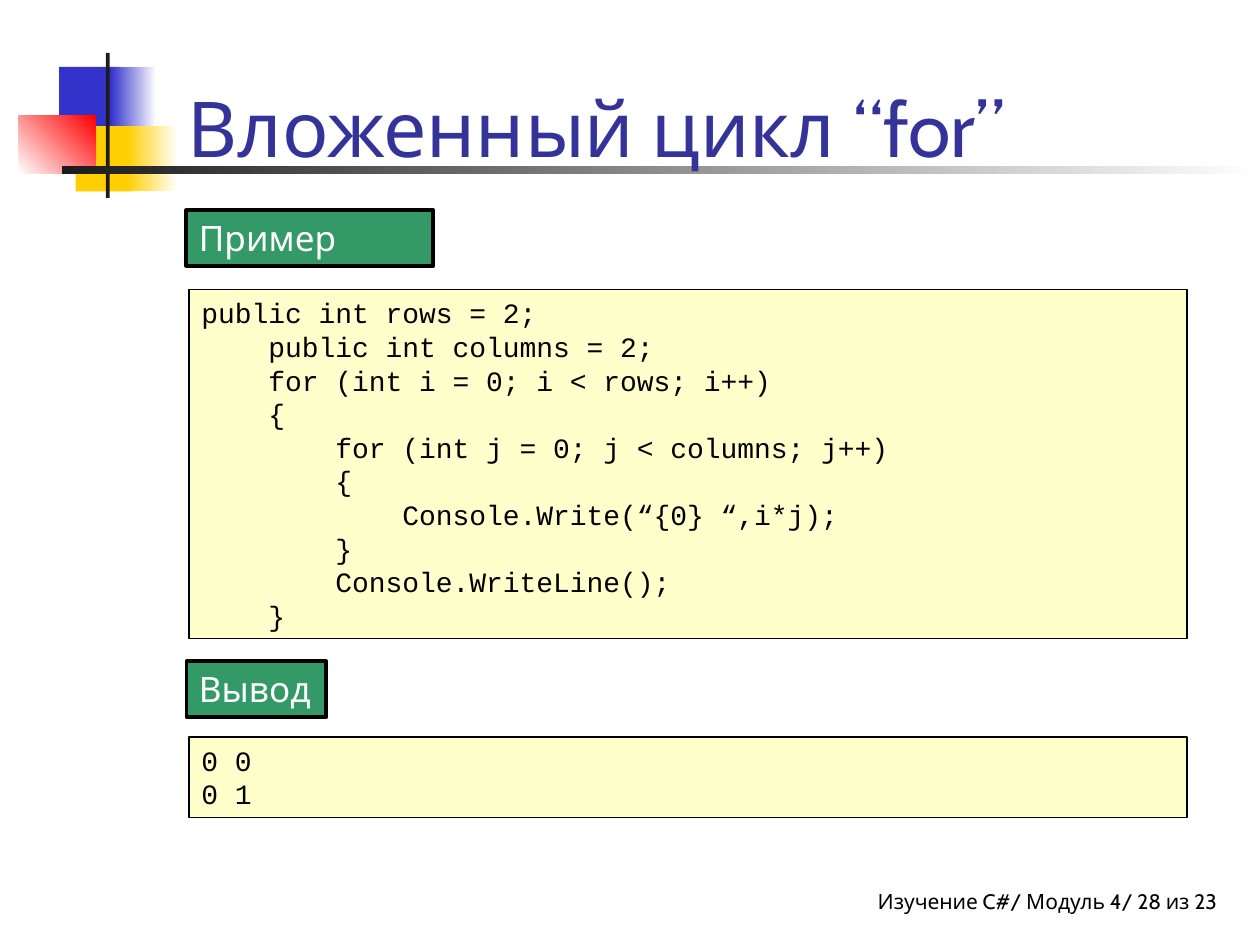
import pptx
import pptx.util
from pptx.dml.color import RGBColor
from pptx.enum.shapes import MSO_SHAPE
from pptx.enum.text import MSO_ANCHOR, PP_ALIGN

# Slide grid: 100 columns by 75 rows of square cells
COLUMNS, ROWS = 100, 75
WIDTH, HEIGHT = pptx.util.Inches(10), pptx.util.Inches(7.5)

BLACK = RGBColor(0x00, 0x00, 0x00)
WHITE = RGBColor(0xFF, 0xFF, 0xFF)
CHARCOAL = RGBColor(0x1C, 0x1C, 0x1C)
BLUE = RGBColor(0x33, 0x33, 0xCC)
YELLOW = RGBColor(0xFF, 0xCF, 0x01)
RED = RGBColor(0xFF, 0x00, 0x00)
INDIGO = RGBColor(0x33, 0x33, 0x99)
GREEN = RGBColor(0x33, 0x99, 0x66)
CREAM = RGBColor(0xFF, 0xFF, 0xCC)

TEXT_FONT, CODE_FONT = "Cabin", "Courier New"

EXAMPLE_CODE = """public int rows = 2;
    public int columns = 2;
    for (int i = 0; i < rows; i++)
    {
        for (int j = 0; j < columns; j++)
        {
            Console.Write(“{0} “,i*j);
        }
        Console.WriteLine();
    }"""
OUTPUT = "0 0\n0 1"


def on_grid(left, top, width, height):
    """Turn columns and rows into slide lengths."""
    across, down = WIDTH / COLUMNS, HEIGHT / ROWS
    return [round(n) for n in (left * across, top * down,
                               width * across, height * down)]


def write(shape, text, size, color, font=TEXT_FONT, align=PP_ALIGN.LEFT,
          anchor=MSO_ANCHOR.TOP):
    frame = shape.text_frame
    frame.word_wrap = True
    frame.vertical_anchor = anchor
    frame.text = text
    for paragraph in frame.paragraphs:
        paragraph.alignment = align
        paragraph.font.name = font
        paragraph.font.size = pptx.util.Pt(size)
        paragraph.font.color.rgb = color
    return frame


def add_text(slide, place, text, **style):
    return write(slide.shapes.add_textbox(*on_grid(*place)), text, **style)


def add_block(slide, place, fill, fade_to=None, angle=0, border=None):
    """Rectangle with a plain fill, or one fading along an angle."""
    block = slide.shapes.add_shape(MSO_SHAPE.RECTANGLE, *on_grid(*place))
    block.shadow.inherit = False
    if fade_to is None:
        block.fill.solid()
        block.fill.fore_color.rgb = fill
    else:
        block.fill.gradient()
        block.fill.gradient_angle = angle
        for stop, color in zip(block.fill.gradient_stops, (fill, fade_to)):
            stop.color.rgb = color
    if border is None:
        block.line.fill.background()
    else:
        block.line.color.rgb = BLACK
        block.line.width = pptx.util.Pt(border)
    return block


def add_label(slide, top, width, text):
    label = add_block(slide, (14.8, top, width, 4.4), GREEN, border=2.25)
    write(label, text, size=20, color=WHITE)


def add_listing(slide, top, height, code):
    listing = add_block(slide, (15, top, 79.2, height), CREAM, border=0.75)
    write(listing, code, size=16, color=BLACK, font=CODE_FONT)


def add_ornament(slide):
    # Blue and yellow squares, each fading out to the right
    add_block(slide, (4.7, 5.3, 4.8, 5.2), BLUE)
    add_block(slide, (8.8, 5.3, 3.6, 5.2), BLUE, fade_to=WHITE)
    add_block(slide, (6, 10, 4.6, 5.2), YELLOW)
    add_block(slide, (10.1, 10, 4, 5.2), YELLOW, fade_to=WHITE)
    # Red square, then the crossing bars
    add_block(slide, (1.5, 9.2, 6.1, 4.6), WHITE, fade_to=RED, angle=45)
    add_block(slide, (8.4, 4.2, 0.3, 11.5), CHARCOAL)
    add_block(slide, (4.9, 13.2, 95.1, 0.6), CHARCOAL, fade_to=WHITE)


def main():
    deck = pptx.Presentation()
    deck.slide_width, deck.slide_height = WIDTH, HEIGHT
    slide = deck.slides.add_slide(deck.slide_layouts[6])

    # Footer
    footer = add_text(slide, (45.8, 70, 50.8, 3.3),
                      "Изучение C#/ Модуль 4/ 28 из 23",
                      size=12, color=BLACK, align=PP_ALIGN.RIGHT)
    footer.margin_right = 0

    # Heading
    add_ornament(slide)
    add_text(slide, (13.9, 1.7, 85.2, 12.5), "Вложенный цикл “for”",
             size=44, color=INDIGO, anchor=MSO_ANCHOR.BOTTOM)

    # Example and its output
    add_label(slide, 16.7, 19.6, "Пример")
    add_listing(slide, 23, 27.7, EXAMPLE_CODE)
    add_label(slide, 52.5, 11.1, "Вывод")
    add_listing(slide, 58.5, 6.4, OUTPUT)

    deck.save("out.pptx")


if __name__ == "__main__":
    main()
